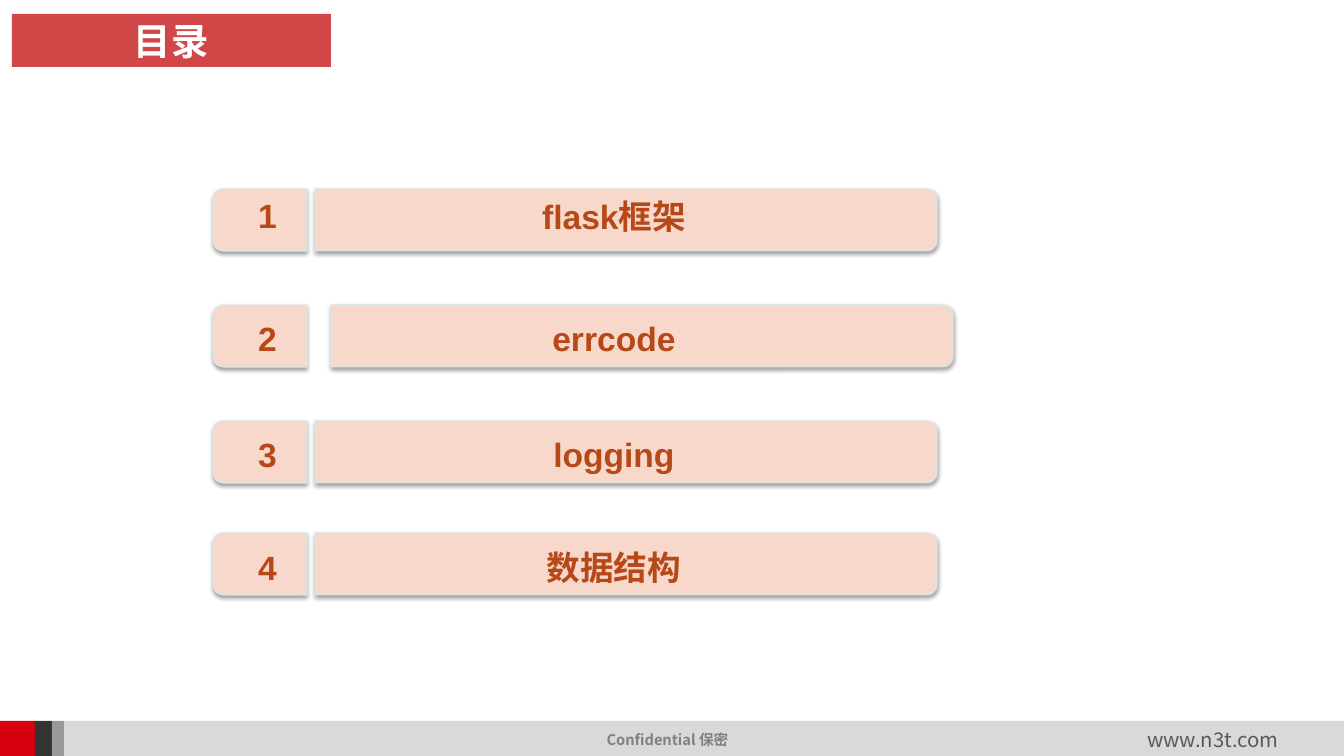
from dataclasses import dataclass

from lxml import etree
from pptx import Presentation
from pptx.dml.color import RGBColor
from pptx.enum import shapes, text
from pptx.oxml import ns
from pptx.util import Emu, Pt

PX = 914400 / 100.8


@dataclass(frozen=True)
class Theme:
    """Colours, fonts and type sizes of the slide."""
    title_fill: str = "C00000"
    title_text: str = "FFFFFF"
    tab_fill: str = "F8D8CA"
    tab_line: str = "D5E8EA"
    tab_text: str = "B74919"
    bar: str = "D9D9D9"
    blocks: tuple = ("D7000F", "333333", "999999")
    notice: str = "808080"
    site: str = "595959"
    latin: str = "Arial"
    heading: str = "Calibri"
    cjk: str = "Noto Sans CJK SC"
    title_size: float = 26.7
    item_size: float = 24
    notice_size: float = 10.5
    site_size: float = 14.5


THEME = Theme()


def px(n):
    """Turn pixels into EMU."""
    return Emu(round(n * PX))


def sub(parent, tag, **attrs):
    """Append a DrawingML element and return it."""
    return etree.SubElement(parent, ns.qn(tag), attrs)


def write(sp, words, size, color, font, bold=True):
    """Put one centred line of text in a shape."""
    tf = sp.text_frame
    tf.text = words
    tf.word_wrap = False
    tf.vertical_anchor = text.MSO_ANCHOR.MIDDLE
    p = tf.paragraphs[0]
    p.alignment = text.PP_ALIGN.CENTER
    r = p.runs[0]
    r.font.size = Pt(size)
    r.font.bold = bold
    r.font.name = font
    r.font.color.rgb = RGBColor.from_string(color)
    sub(r.font._element, "a:ea", typeface=THEME.cjk)


def add_label(s, box, *style, **options):
    """Add a text box with one centred line."""
    write(s.shapes.add_textbox(*map(px, box)), *style, **options)


def add_block(s, box, fill, kind=shapes.MSO_SHAPE.RECTANGLE):
    """Add a flat filled shape without an outline."""
    sp = s.shapes.add_shape(kind, *map(px, box))
    sp.shadow.inherit = False
    sp.fill.solid()
    sp.fill.fore_color.rgb = RGBColor.from_string(fill)
    sp.line.fill.background()
    return sp


def add_tab(s, box, rotation):
    """Add a shadowed tab rounded on the side its rotation points to."""
    x, y, w, h = box
    upright = (x + (w - h) / 2, y + (h - w) / 2, h, w)
    sp = add_block(s, upright, THEME.tab_fill,
                   shapes.MSO_SHAPE.ROUND_2_SAME_RECTANGLE)
    sp.rotation = rotation
    sp.line.color.rgb = RGBColor.from_string(THEME.tab_line)
    sp.line.width = Pt(0.75)
    effects = sp._element.spPr.find(ns.qn("a:effectLst"))
    shadow = sub(effects, "a:outerShdw", blurRad=str(Pt(3.1)),
                 dist=str(Pt(1.6)), dir="5400000", rotWithShape="0")
    sub(sub(shadow, "a:srgbClr", val="000000"), "a:alpha", val="38000")


def title(s, box, words):
    """Draw the translucent title banner."""
    sp = add_block(s, box, THEME.title_fill)
    color = sp._element.spPr.find(".//" + ns.qn("a:srgbClr"))
    sub(color, "a:alpha", val="72000")
    write(sp, words, THEME.title_size, THEME.title_text, THEME.heading)


def agenda_row(s, box, number, words, shift, number_y, label_y):
    """Draw a numbered agenda entry with its bar shifted sideways."""
    x, y, w, h = box
    add_tab(s, (x, y, 94, h), 270)
    add_tab(s, (x + 102 + shift, y, w - 102, h), 90)
    style = (THEME.item_size, THEME.tab_text, THEME.latin)
    add_label(s, (x + 189, y + label_y - 28, 424, 56), words, *style)
    add_label(s, (x + 35, y + number_y - 28, 39, 56), str(number), *style)


def footer(s, box, notice, site):
    """Draw the footer bar, its colour blocks and its two texts."""
    x, y, w, h = box
    add_block(s, (x + 64, y, w - 64, h), THEME.bar)
    for fill, width in zip(THEME.blocks, (35, 17, 12)):
        add_block(s, (x, y, width, h), fill)
        x += width
    add_label(s, (box[0] + 591, y + 3, 153, 31), notice,
              THEME.notice_size, THEME.notice, THEME.cjk)
    add_label(s, (box[0] + 1132, y, 162, 37), site,
              THEME.site_size, THEME.site, THEME.cjk, bold=False)


def main():
    """Build the contents slide and save it."""
    prs = Presentation()
    prs.slide_width, prs.slide_height = px(1344), px(756)
    s = prs.slides.add_slide(prs.slide_layouts[6])
    footer(s, (0, 721, 1344, 35), "Confidential 保密", "www.n3t.com")
    rows = [("flask框架", 189, 0, 26, 27), ("errcode", 305, 16, 33, 33),
            ("logging", 421, 0, 33, 33), ("数据结构", 533, 0, 34, 34)]
    for number, (words, top, *offsets) in enumerate(rows, 1):
        agenda_row(s, (213, top, 724, 62), number, words, *offsets)
    title(s, (12, 14, 319, 53), "目录")
    prs.save("out.pptx")


if __name__ == "__main__":
    main()
